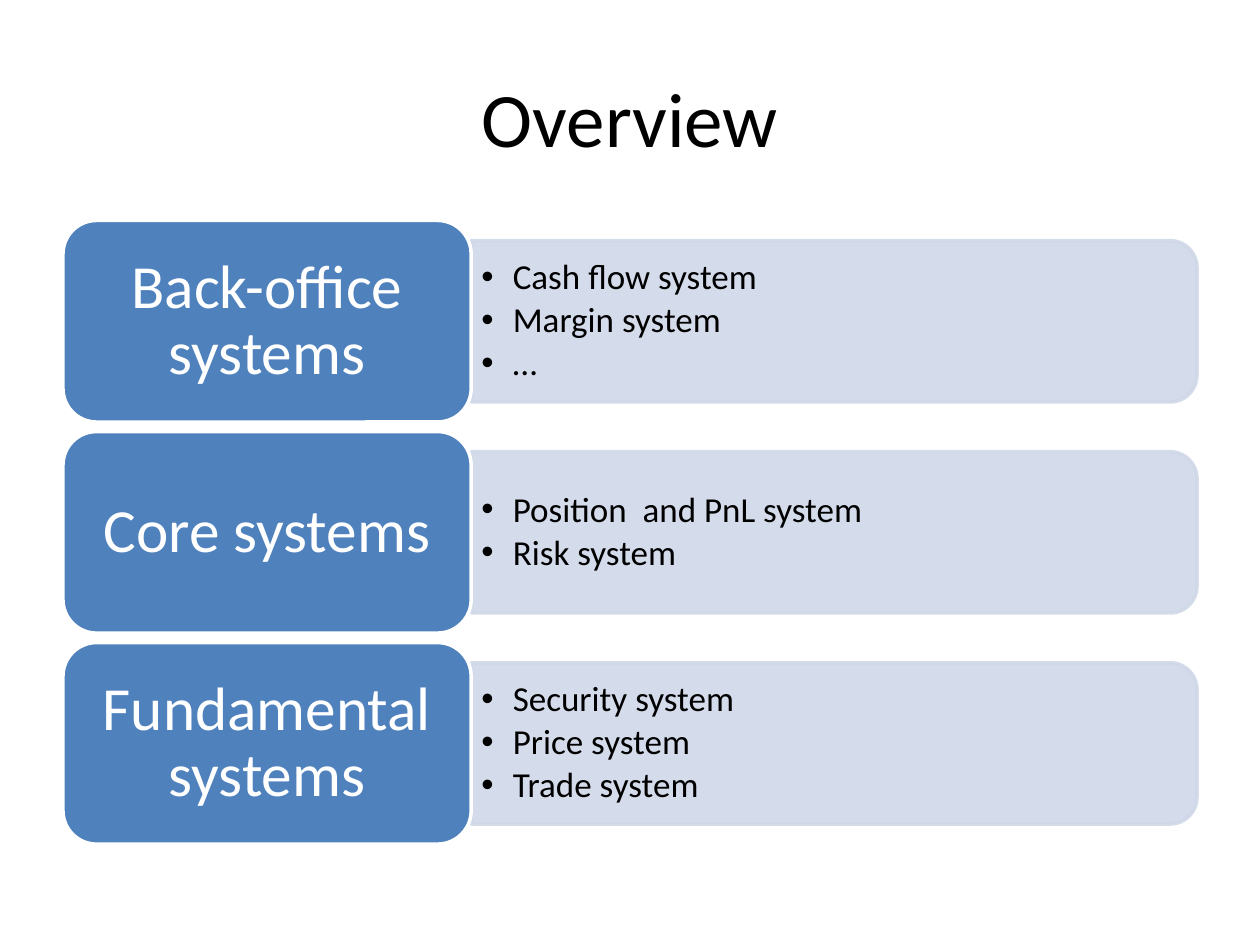
from lxml import etree
from pptx import Presentation
from pptx.dml.color import RGBColor
from pptx.enum.shapes import MSO_SHAPE
from pptx.enum.text import MSO_ANCHOR, PP_ALIGN
from pptx.oxml.ns import qn
from pptx.util import Inches, Pt

ROUNDED = MSO_SHAPE.ROUNDED_RECTANGLE
ROUNDED_TOP = MSO_SHAPE.ROUND_2_SAME_RECTANGLE
MIDDLE = MSO_ANCHOR.MIDDLE
CENTER = PP_ALIGN.CENTER
LEFT = PP_ALIGN.LEFT

BLUE = RGBColor(0x4F, 0x81, 0xBD)
PALE_BLUE = RGBColor(0xD0, 0xD8, 0xE8)
WHITE = RGBColor(0xFF, 0xFF, 0xFF)
BLACK = RGBColor(0x00, 0x00, 0x00)
FONT = "Calibri"

MARGIN = 0.5
FIRST_TOP = 1.75
ROW_STEP = 1.675
LABEL_WIDTH, LABEL_HEIGHT = 3.24, 1.6
PANEL_LEFT = MARGIN + LABEL_WIDTH
PANEL_WIDTH, PANEL_HEIGHT = 5.76, 1.28
LIST_WIDTH, LIST_HEIGHT = 5.7, 1.15

SYSTEMS = [
    ("Back-office systems", ["Cash flow system", "Margin system", "…"]),
    ("Core systems", ["Position  and PnL system", "Risk system"]),
    ("Fundamental systems", ["Security system", "Price system", "Trade system"]),
]


def set_font(paragraph, size, color):
    """Give a paragraph its typeface, size and colour."""
    font = paragraph.font
    font.name = FONT
    font.size = Pt(size)
    font.color.rgb = color


def set_spacing(paragraph, after):
    """Tighten the lines and set the gap after a paragraph."""
    paragraph.line_spacing = 0.9
    paragraph.space_after = Pt(after)


def set_frame(frame, side, end):
    """Wrap the text, centre it vertically and set its insets."""
    frame.word_wrap = True
    frame.vertical_anchor = MIDDLE
    frame.margin_left = frame.margin_right = Inches(side)
    frame.margin_top = frame.margin_bottom = Inches(end)


def add_bullet(paragraph):
    """Add a round bullet with a hanging indent."""
    properties = paragraph._p.get_or_add_pPr()
    properties.set("marL", str(Inches(0.25)))
    properties.set("indent", str(Inches(-0.25)))
    etree.SubElement(properties, qn("a:buFont")).set("typeface", "Arial")
    etree.SubElement(properties, qn("a:buChar")).set("char", "•")


def set_opacity(fill_owner, percent):
    """Make every solid colour of a shape partly transparent."""
    for color in fill_owner._element.spPr.iter(qn("a:srgbClr")):
        etree.SubElement(color, qn("a:alpha")).set("val", str(percent * 1000))


def add_block(slide, preset, left, top, width, height, fill, line):
    """Add a flat filled shape with a two-point outline."""
    block = slide.shapes.add_shape(
        preset, Inches(left), Inches(top), Inches(width), Inches(height))
    block.shadow.inherit = False
    block.fill.solid()
    block.fill.fore_color.rgb = fill
    block.line.color.rgb = line
    block.line.width = Pt(2)
    return block


def add_panel(slide, middle):
    """Add the pale panel, turned so that its right corners are round."""
    left = PANEL_LEFT + (PANEL_WIDTH - PANEL_HEIGHT) / 2
    panel = add_block(slide, ROUNDED_TOP, left, middle - PANEL_WIDTH / 2,
                      PANEL_HEIGHT, PANEL_WIDTH, PALE_BLUE, PALE_BLUE)
    panel.rotation = 90
    set_opacity(panel, 90)


def add_list(slide, middle, items):
    """Add the bulleted members of a system group."""
    members = slide.shapes.add_textbox(
        Inches(PANEL_LEFT), Inches(middle - LIST_HEIGHT / 2),
        Inches(LIST_WIDTH), Inches(LIST_HEIGHT))
    frame = members.text_frame
    set_frame(frame, 0.08, 0.04)
    frame.text = "\n".join(items)
    for paragraph in frame.paragraphs:
        paragraph.alignment = LEFT
        add_bullet(paragraph)
        set_spacing(paragraph, 3)
        set_font(paragraph, 20, BLACK)


def add_label(slide, top, name):
    """Add the blue block that names a system group."""
    label = add_block(slide, ROUNDED, MARGIN, top, LABEL_WIDTH, LABEL_HEIGHT,
                      BLUE, WHITE)
    frame = label.text_frame
    set_frame(frame, 0.15, 0.07)
    frame.text = name
    paragraph = frame.paragraphs[0]
    paragraph.alignment = CENTER
    set_spacing(paragraph, 12)
    set_font(paragraph, 35, WHITE)


def add_title(slide, text):
    """Fill and place the title placeholder."""
    title = slide.shapes.title
    title.left, title.top = Inches(MARGIN), Inches(0.3)
    title.width, title.height = Inches(9), Inches(1.25)
    title.text_frame.text = text
    title.text_frame.vertical_anchor = MIDDLE
    paragraph = title.text_frame.paragraphs[0]
    paragraph.alignment = CENTER
    set_font(paragraph, 44, BLACK)


def main():
    """Build the overview slide and save it."""
    presentation = Presentation()
    presentation.slide_width = Inches(10)
    presentation.slide_height = Inches(7.5)
    slide = presentation.slides.add_slide(presentation.slide_layouts[5])
    add_title(slide, "Overview")
    for row, (name, items) in enumerate(SYSTEMS):
        top = FIRST_TOP + row * ROW_STEP
        middle = top + LABEL_HEIGHT / 2
        add_panel(slide, middle)
        add_list(slide, middle, items)
        add_label(slide, top, name)
    presentation.save("out.pptx")


if __name__ == "__main__":
    main()
